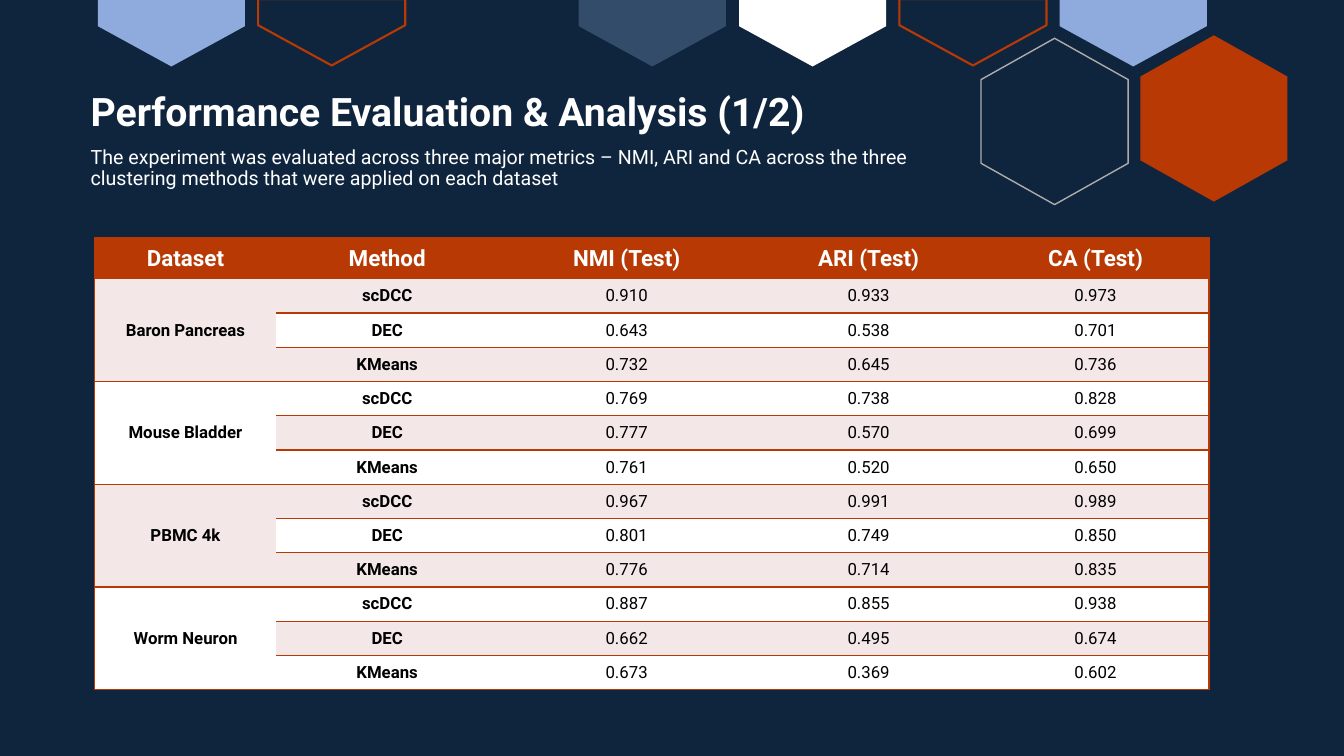
from lxml.etree import SubElement
from pptx import Presentation
from pptx.dml.color import RGBColor
from pptx.enum.text import MSO_ANCHOR, PP_ALIGN
from pptx.oxml.ns import qn
from pptx.util import Inches, Pt

NAVY = RGBColor(0x0F, 0x25, 0x3E)
SLATE = RGBColor(0x33, 0x4C, 0x6A)
SKY = RGBColor(0x8F, 0xAA, 0xDC)
RUST = RGBColor(0xB8, 0x39, 0x03)
BLUSH = RGBColor(0xF3, 0xE8, 0xE7)
GREY = RGBColor(0xAF, 0xAB, 0xAB)
WHITE = RGBColor(0xFF, 0xFF, 0xFF)
BLACK = RGBColor(0x00, 0x00, 0x00)
FONT = "Roboto"

HEXAGON_WIDTH = 1.46
FULL_HEXAGON = [(0.73, 0), (1.46, 0.41), (1.46, 1.24), (0.73, 1.65), (0, 1.24), (0, 0.41)]
CUT_HEXAGON = [(0, 0), (1.46, 0), (1.46, 0.26), (0.73, 0.66), (0, 0.26)]
CUT_LEFT, CUT_PITCH = 0.97, 1.59

HEADERS = ["Dataset", "Method", "NMI (Test)", "ARI (Test)", "CA (Test)"]
COLUMN_WIDTHS = [1.8, 2.2, 2.55, 2.25, 2.25]
METHODS = ["scDCC", "DEC", "KMeans"]
RESULTS = {
    "Baron Pancreas": [
        ("0.910", "0.933", "0.973"),
        ("0.643", "0.538", "0.701"),
        ("0.732", "0.645", "0.736"),
    ],
    "Mouse Bladder": [
        ("0.769", "0.738", "0.828"),
        ("0.777", "0.570", "0.699"),
        ("0.761", "0.520", "0.650"),
    ],
    "PBMC 4k": [
        ("0.967", "0.991", "0.989"),
        ("0.801", "0.749", "0.850"),
        ("0.776", "0.714", "0.835"),
    ],
    "Worm Neuron": [
        ("0.887", "0.855", "0.938"),
        ("0.662", "0.495", "0.674"),
        ("0.673", "0.369", "0.602"),
    ],
}


def add_hexagon(page, left, top, corners, fill=None, line=None, line_width=1):
    points = [(Inches(left + x), Inches(top + y)) for x, y in corners]
    builder = page.shapes.build_freeform(*points[0], scale=1.0)
    builder.add_line_segments(points[1:], close=True)
    hexagon = builder.convert_to_shape()
    hexagon.shadow.inherit = False
    if fill is None:
        hexagon.fill.background()
    else:
        hexagon.fill.solid()
        hexagon.fill.fore_color.rgb = fill
    if line is None:
        hexagon.line.fill.background()
    else:
        hexagon.line.color.rgb = line
        hexagon.line.width = Pt(line_width)


def add_cut_hexagon(page, slot, fill=None, line=None):
    """Hang a hexagon from the top edge, at a numbered place in the row."""
    top = 0 if line is None else -0.01
    add_hexagon(page, CUT_LEFT + slot * CUT_PITCH, top, CUT_HEXAGON, fill, line, 1.5)


def style_text(paragraph, size, color, bold):
    for span in paragraph.runs:
        span.font.name = FONT
        span.font.size = Pt(size)
        span.font.bold = bold
        span.font.color.rgb = color


def add_text(page, top, height, text, size, bold=False):
    box = page.shapes.add_textbox(Inches(0.8), Inches(top), Inches(8.39), Inches(height))
    frame = box.text_frame
    frame.word_wrap = True
    frame.vertical_anchor = MSO_ANCHOR.MIDDLE
    frame.text = text
    frame.paragraphs[0].line_spacing = 0.9
    style_text(frame.paragraphs[0], size, WHITE, bold)


def set_borders(cell, sides):
    """Draw rust lines on the given sides (letters of LRTB) and clear the others."""
    properties = cell._tc.get_or_add_tcPr()
    for side in "LRTB":
        border = SubElement(properties, qn(f"a:ln{side}"), w=str(Pt(1)))
        if side in sides:
            color = SubElement(SubElement(border, qn("a:solidFill")), qn("a:srgbClr"))
            color.set("val", str(RUST))
        else:
            SubElement(border, qn("a:noFill"))


def format_cell(cell, text, sides, fill, size=12, color=BLACK, bold=False):
    set_borders(cell, sides)
    cell.fill.solid()
    cell.fill.fore_color.rgb = fill
    cell.vertical_anchor = MSO_ANCHOR.MIDDLE
    cell.margin_left = cell.margin_right = Inches(0.07)
    cell.margin_top = cell.margin_bottom = Inches(0.07)
    cell.text = text
    paragraph = cell.text_frame.paragraphs[0]
    paragraph.alignment = PP_ALIGN.CENTER
    paragraph.font.size = Pt(size)
    style_text(paragraph, size, color, bold)


def add_results_table(page):
    row_count = 1 + len(RESULTS) * len(METHODS)
    last_column = len(HEADERS) - 1
    table = page.shapes.add_table(
        row_count, len(HEADERS), Inches(0.94), Inches(2.36),
        Inches(sum(COLUMN_WIDTHS)), Inches(0.39 + 0.33 * (row_count - 1)),
    ).table
    for column, width in zip(table.columns, COLUMN_WIDTHS):
        column.width = Inches(width)
    for row in table.rows:
        row.height = Inches(0.33)
    table.rows[0].height = Inches(0.39)

    edges = {0: "LTB", last_column: "RTB"}
    for column, header in enumerate(HEADERS):
        format_cell(table.cell(0, column), header, edges.get(column, "TB"), RUST, 16, WHITE, True)

    for group, (dataset, scores) in enumerate(RESULTS.items()):
        first = 1 + group * len(METHODS)
        last = first + len(METHODS) - 1
        group_fill = WHITE if group % 2 else BLUSH
        for row, (method, values) in enumerate(zip(METHODS, scores), first):
            row_fill = BLUSH if row % 2 else WHITE
            dataset_sides = {first: "LTB", last: "LB"}.get(row, "L")
            format_cell(table.cell(row, 0), dataset if row == first else "",
                        dataset_sides, group_fill, bold=True)
            for column, text in enumerate((method, *values), 1):
                format_cell(table.cell(row, column), text, edges.get(column, "TB"),
                            row_fill, bold=column == 1)
        table.cell(first, 0).merge(table.cell(last, 0))


def main():
    deck = Presentation()
    deck.slide_width, deck.slide_height = Inches(13.33), Inches(7.5)
    page = deck.slides.add_slide(deck.slide_layouts[6])
    page.background.fill.solid()
    page.background.fill.fore_color.rgb = NAVY

    add_hexagon(page, 9.73, 0.38, FULL_HEXAGON, line=GREY)
    for slot, fill in [(3, SLATE), (4, WHITE), (0, SKY), (6, SKY)]:
        add_cut_hexagon(page, slot, fill=fill)
    for slot in (1, 5):
        add_cut_hexagon(page, slot, line=RUST)
    add_hexagon(page, 11.31, 0.35, FULL_HEXAGON, fill=RUST)

    add_text(page, 0.81, 0.63, "Performance Evaluation & Analysis (1/2)", 28, bold=True)
    add_text(page, 1.47, 0.41,
             "The experiment was evaluated across three major metrics – NMI, ARI and CA across "
             "the three clustering methods that were applied on each dataset", 14)
    add_results_table(page)
    deck.save("out.pptx")


if __name__ == "__main__":
    main()
